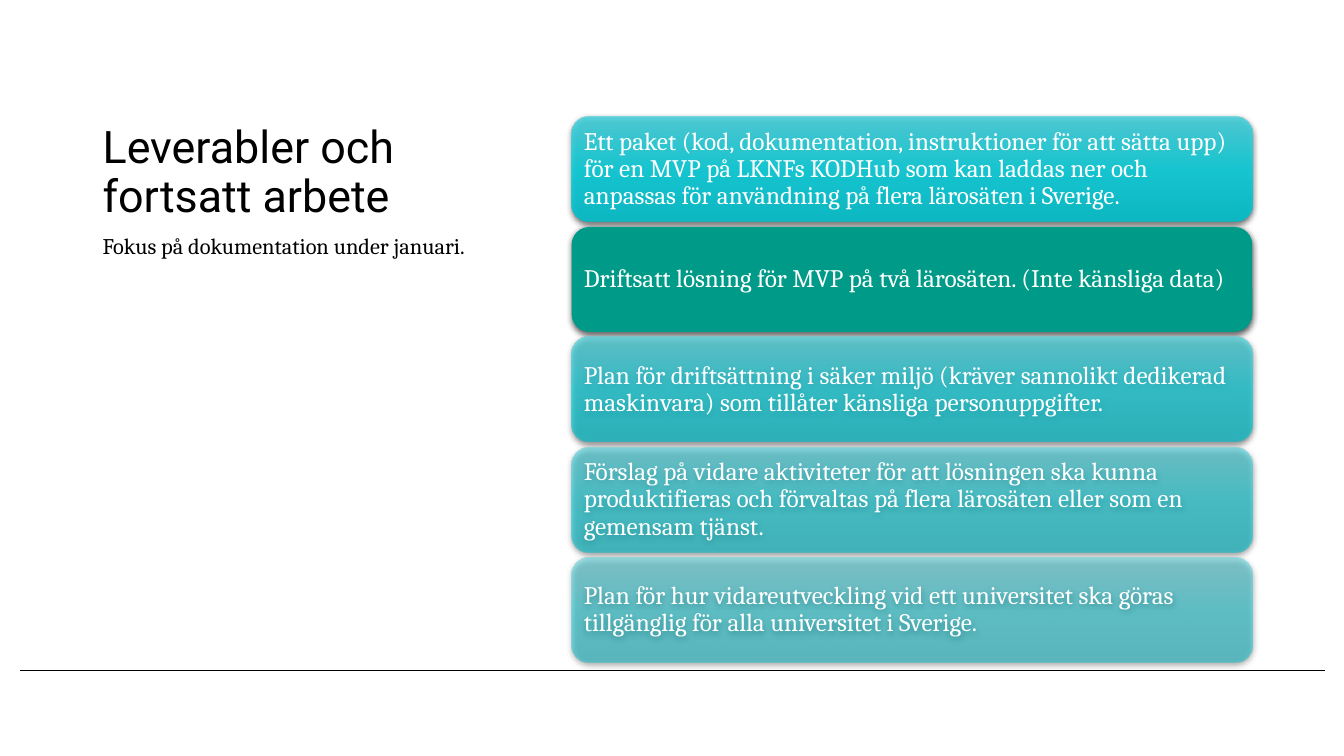
from lxml.etree import SubElement
from pptx import Presentation
from pptx.dml.color import RGBColor
from pptx.enum.shapes import MSO_CONNECTOR as Connector, MSO_SHAPE as Shape
from pptx.enum.text import MSO_ANCHOR as Anchor, PP_ALIGN as Align
from pptx.oxml.ns import qn
from pptx.util import Emu, Pt

EMU_PER_PX = 9144  # 100 px to the inch
WHITE, BLACK, GREEN = "FFFFFF", "000000", "009B88"
TURQUOISE = [(0, "4DD1DC"), (50, "0ECFDB"), (100, "04BFCB")]

# Each deliverable with its gradient opacity in percent; None means solid green
DELIVERABLES = [
    ("Ett paket (kod, dokumentation, instruktioner för att sätta upp) för en MVP på "
     "LKNFs KODHub som kan laddas ner och anpassas för användning på flera lärosäten "
     "i Sverige.", 90),
    ("Driftsatt lösning för MVP på två lärosäten. (Inte känsliga data)", None),
    ("Plan för driftsättning i säker miljö (kräver sannolikt dedikerad maskinvara) "
     "som tillåter känsliga personuppgifter.", 70),
    ("Förslag på vidare aktiviteter för att lösningen ska kunna produktifieras och "
     "förvaltas på flera lärosäten eller som en gemensam tjänst.", 60),
    ("Plan för hur vidareutveckling vid ett universitet ska göras tillgänglig för "
     "alla universitet i Sverige.", 50),
]


def px(length):
    return Emu(round(length * EMU_PER_PX))


def color(hex_value):
    return RGBColor.from_string(hex_value)


def write(frame, text, font, size, ink, frame_format, paragraph_format):
    """Fill a text frame with one formatted paragraph."""
    frame.word_wrap = True
    paragraph = frame.paragraphs[0]
    for target, values in ((frame, frame_format), (paragraph, paragraph_format)):
        for name, value in values.items():
            setattr(target, name, value)
    run = paragraph.add_run()
    run.text = text
    run.font.name, run.font.size = font, Pt(size)
    run.font.color.rgb = color(ink)


def add_gradient(shape, opacity):
    """Vertical turquoise gradient with one opacity for all stops."""
    properties = shape._element.spPr
    gradient = properties.makeelement(qn("a:gradFill"), {"rotWithShape": "1"})
    properties.find(qn("a:prstGeom")).addnext(gradient)
    stops = SubElement(gradient, qn("a:gsLst"))
    for position, tint in TURQUOISE:
        stop = SubElement(stops, qn("a:gs"), pos=str(position * 1000))
        rgb = SubElement(stop, qn("a:srgbClr"), val=tint)
        SubElement(rgb, qn("a:alpha"), val=str(opacity * 1000))
    SubElement(gradient, qn("a:lin"), ang="5400000", scaled="0")


def add_shadow(shape):
    """Soft black shadow falling straight down."""
    effects = shape._element.spPr.find(qn("a:effectLst"))
    shadow = SubElement(effects, qn("a:outerShdw"), blurRad=str(Pt(4.5)),
                        dist=str(Pt(1.5)), dir="5400000", algn="ctr", rotWithShape="0")
    rgb = SubElement(shadow, qn("a:srgbClr"), val=BLACK)
    SubElement(rgb, qn("a:alpha"), val="63000")


def add_heading(slide, left, top, width, height, title_height):
    """Title sitting on top of the focus note."""
    title = slide.shapes.add_textbox(px(left), px(top), px(width), px(title_height))
    write(title.text_frame, "Leverabler och fortsatt arbete", "Roboto", 32, BLACK,
          {"vertical_anchor": Anchor.BOTTOM}, {"line_spacing": 0.9})
    focus = slide.shapes.add_textbox(px(left), px(top + title_height), px(width),
                                     px(height - title_height))
    write(focus.text_frame, "Fokus på dokumentation under januari.", "Cambria", 16, BLACK,
          {"vertical_anchor": Anchor.TOP}, {"space_before": Pt(10)})


def add_deliverable(slide, left, top, width, height, text, opacity):
    """One rounded card."""
    card = slide.shapes.add_shape(Shape.ROUNDED_RECTANGLE, px(left), px(top),
                                  px(width), px(height))
    card.line.fill.background()
    card.shadow.inherit = False
    if opacity is None:
        card.fill.solid()
        card.fill.fore_color.rgb = color(GREEN)
    else:
        add_gradient(card, opacity)
    add_shadow(card)
    sides = ("left", "top", "right", "bottom")
    write(card.text_frame, text, "Cambria", 18, WHITE,
          {"vertical_anchor": Anchor.MIDDLE, **{f"margin_{side}": px(7) for side in sides}},
          {"line_spacing": 0.9, "alignment": Align.LEFT})


def add_deliverables(slide, left, top, width, height, card_height):
    """Cards spread evenly over the height of the box."""
    pitch = (height - card_height) / (len(DELIVERABLES) - 1)
    for row, (text, opacity) in enumerate(DELIVERABLES):
        add_deliverable(slide, left, top + row * pitch, width, card_height, text, opacity)


def add_footer_rule(slide, left, top, width):
    """Thin line above the footer."""
    rule = slide.shapes.add_connector(Connector.STRAIGHT, px(left), px(top),
                                      px(left + width), px(top))
    rule.line.width = Pt(0.5)
    rule.line.color.rgb = color(BLACK)
    SubElement(rule._element.spPr, qn("a:effectLst"))


def main():
    deck = Presentation()
    deck.slide_width, deck.slide_height = px(1333), px(750)
    slide = deck.slides.add_slide(deck.slide_layouts[6])
    add_footer_rule(slide, 20, 665, 1294)
    add_heading(slide, 92, 50, 430, 615, title_height=175)
    add_deliverables(slide, 567, 116, 675, 541, card_height=104)
    deck.save("out.pptx")


if __name__ == "__main__":
    main()
